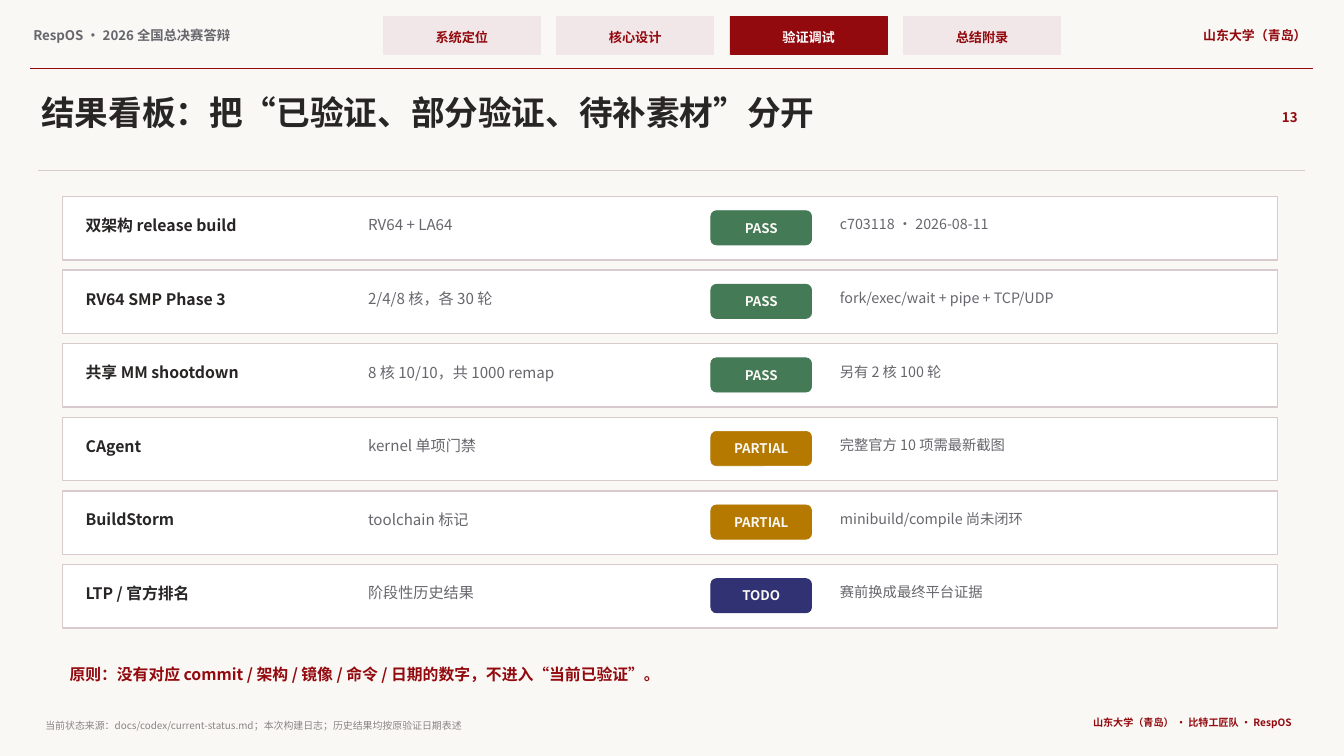
import lxml.etree
import pptx
import pptx.dml.color
import pptx.enum.shapes
import pptx.enum.text
import pptx.oxml.ns
import pptx.util

Inches = pptx.util.Inches
Pt = pptx.util.Pt
RGBColor = pptx.dml.color.RGBColor
Shape = pptx.enum.shapes.MSO_SHAPE
Align = pptx.enum.text.PP_ALIGN
qn = pptx.oxml.ns.qn

FONT = "Noto Sans CJK SC"
COLORS = {
    "paper": "FAF8F5", "white": "FFFFFF", "red": "92090E", "blush": "F2E7E8",
    "ink": "282525", "gray": "66666D", "source": "8A8585", "border": "D9CBCD",
    "PASS": "447A55", "PARTIAL": "B57900", "TODO": "303274",
}

presentation = pptx.Presentation()
presentation.slide_width = Inches(13.33)
presentation.slide_height = Inches(7.5)
slide = presentation.slides.add_slide(presentation.slide_layouts[6])
slide.background.fill.solid()
slide.background.fill.fore_color.rgb = RGBColor.from_string(COLORS["paper"])


def add_text(text, box, size, color, bold=True, align=Align.LEFT):
    """Add one line of text; box is left, top, width, height in inches."""
    frame = slide.shapes.add_textbox(*map(Inches, box)).text_frame
    frame.word_wrap = True
    frame.auto_size = pptx.enum.text.MSO_AUTO_SIZE.SHAPE_TO_FIT_TEXT
    frame.margin_left = frame.margin_right = Inches(0.03)
    frame.margin_top = frame.margin_bottom = Inches(0.03)
    paragraph = frame.paragraphs[0]
    paragraph.alignment = align
    run = paragraph.add_run()
    run.text = text
    run.font.size = Pt(size)
    run.font.bold = bold
    run.font.color.rgb = RGBColor.from_string(COLORS[color])
    run.font.name = FONT
    # Chinese characters take their font from the East Asian setting
    east_asian = lxml.etree.SubElement(run.font._element, qn("a:ea"))
    east_asian.set("typeface", FONT)


def add_box(kind, box, fill, line, line_width=0.5):
    shape = slide.shapes.add_shape(kind, *map(Inches, box))
    shape.shadow.inherit = False
    shape.fill.solid()
    shape.fill.fore_color.rgb = RGBColor.from_string(COLORS[fill])
    shape.line.color.rgb = RGBColor.from_string(COLORS[line])
    shape.line.width = Pt(line_width)


# Header with section tabs
add_text("RespOS · 2026 全国总决赛答辩", (0.3, 0.24, 3.35, 0.24), 9.5, "gray")
current_tab = "验证调试"
for index, tab in enumerate(["系统定位", "核心设计", "验证调试", "总结附录"]):
    left = 3.8 + index * 1.72
    fill, color = ("red", "white") if tab == current_tab else ("blush", "red")
    add_box(Shape.RECTANGLE, (left, 0.16, 1.56, 0.38), fill, fill)
    add_text(tab, (left + 0.06, 0.26, 1.44, 0.18), 9.4, color, align=Align.CENTER)
add_text("山东大学（青岛）", (11.35, 0.24, 1.64, 0.24), 9.2, "red", align=Align.RIGHT)

# Title and rules
add_text("结果看板：把“已验证、部分验证、待补素材”分开", (0.38, 0.88, 11.85, 0.48), 24, "ink")
add_text("13", (12.48, 1.05, 0.42, 0.24), 9.5, "red", align=Align.RIGHT)
rules = [(0.3, 13.02, 0.68, "red", 1.1), (0.38, 12.94, 1.69, "border", 0.9)]
for left, right, top, color, width in rules:
    rule = slide.shapes.add_connector(
        pptx.enum.shapes.MSO_CONNECTOR.STRAIGHT,
        Inches(left), Inches(top), Inches(right), Inches(top))
    rule.line.color.rgb = RGBColor.from_string(COLORS[color])
    rule.line.width = Pt(width)
    lxml.etree.SubElement(rule._element.spPr, qn("a:effectLst"))

# Result board
results = [
    ("双架构 release build", "RV64 + LA64", "PASS", "c703118 · 2026-08-11"),
    ("RV64 SMP Phase 3", "2/4/8 核，各 30 轮", "PASS", "fork/exec/wait + pipe + TCP/UDP"),
    ("共享 MM shootdown", "8 核 10/10，共 1000 remap", "PASS", "另有 2 核 100 轮"),
    ("CAgent", "kernel 单项门禁", "PARTIAL", "完整官方 10 项需最新截图"),
    ("BuildStorm", "toolchain 标记", "PARTIAL", "minibuild/compile 尚未闭环"),
    ("LTP / 官方排名", "阶段性历史结果", "TODO", "赛前换成最终平台证据"),
]
for index, (item, scope, status, evidence) in enumerate(results):
    top = 1.95 + index * 0.73
    add_box(Shape.RECTANGLE, (0.62, top, 12.05, 0.63), "white", "border", 1)
    add_text(item, (0.82, top + 0.16, 3, 0.25), 11.3, "ink")
    add_text(scope, (3.62, top + 0.16, 3.25, 0.25), 10.8, "gray", bold=False)
    add_box(Shape.ROUNDED_RECTANGLE, (7.05, top + 0.14, 1, 0.34), status, status)
    add_text(status, (7.11, top + 0.2, 0.88, 0.21), 9.5, "paper", align=Align.CENTER)
    add_text(evidence, (8.3, top + 0.16, 3.95, 0.25), 10.2, "gray", bold=False)

# Principle and footer
add_text("原则：没有对应 commit / 架构 / 镜像 / 命令 / 日期的数字，不进入“当前已验证”。",
         (0.66, 6.56, 11.3, 0.28), 11.3, "red")
add_text("当前状态来源：docs/codex/current-status.md；本次构建日志；历史结果均按原验证日期表述",
         (0.42, 7.11, 9.7, 0.17), 7.1, "source", bold=False)
add_text("山东大学（青岛） · 比特工匠队 · RespOS", (9.72, 7.08, 3.12, 0.2), 7.2, "red",
         align=Align.RIGHT)

presentation.save("out.pptx")
